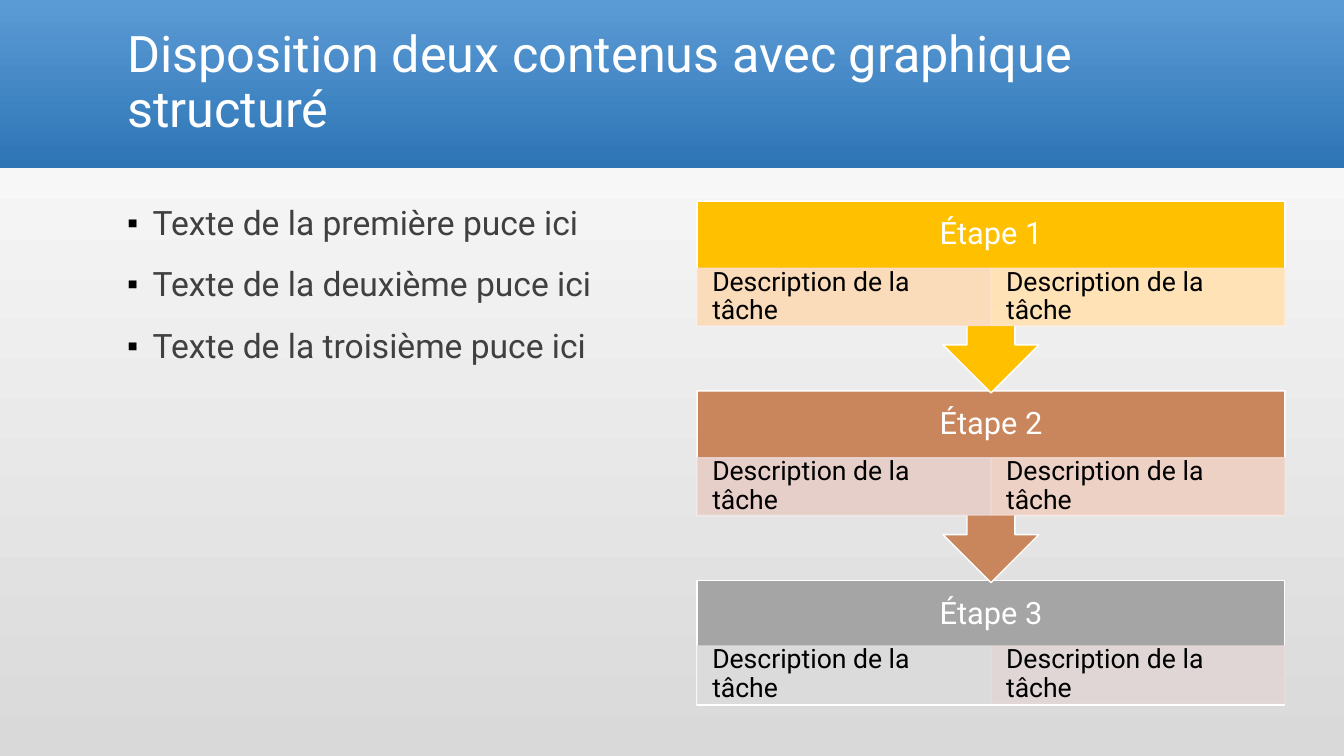
from lxml.etree import SubElement
from pptx import Presentation
from pptx.dml.color import RGBColor
from pptx.enum.shapes import MSO_SHAPE as Preset
from pptx.enum.text import MSO_ANCHOR as Anchor, PP_ALIGN as Align
from pptx.oxml.ns import qn
from pptx.util import Cm, Pt

TITLE = "Disposition deux contenus avec graphique structuré"
BULLETS = [
    "Texte de la première puce ici",
    "Texte de la deuxième puce ici",
    "Texte de la troisième puce ici",
]
TASKS = ["Description de la tâche", "Description de la tâche"]
# Title, main colour, colour of each task
STEPS = [
    ("Étape 1", "FFC000", ["FADFCF", "FFE7CB"]),
    ("Étape 2", "C9855C", ["EBD8D5", "F3DAD1"]),
    ("Étape 3", "A5A5A5", ["E1E1E1", "E7DCDC"]),
]
COLORS = {
    "white": "FFFFFF",
    "black": "000000",
    "body": "404040",
    "backdrop": "D9D9D9",
    "header_top": "5B9BD5",
    "header_bottom": "2E75B6",
}
FONT = "Roboto"

SLIDE_WIDTH, SLIDE_HEIGHT = 33.87, 19.05
HEADER_HEIGHT = 4.23
STEP_LEFT, STEP_TOP, STEP_WIDTH = 17.57, 5.07, 14.81
STEP_PITCH, BOX_HEIGHT, CALLOUT_HEIGHT = 4.78, 3.14, 4.83
STEP_TITLE_HEIGHT, TASK_HEIGHT = 1.69, 1.44
TASK_OPACITY = 90


def rgb(color):
    return RGBColor.from_string(color)


def set_gradient(fill, colors, angle):
    """Blend two colours; the angle runs counter-clockwise."""
    fill.gradient()
    fill.gradient_angle = angle
    for stop, color, position in zip(fill.gradient_stops, colors, (0, 1)):
        stop.color.rgb = rgb(color)
        stop.position = position


def set_text(shape, lines, size, color, insets, align=Align.LEFT, anchor=Anchor.MIDDLE):
    """Write one paragraph per line; insets are left, top, right, bottom in cm."""
    frame = shape.text_frame
    frame.text = "\n".join(lines)
    frame.word_wrap = True
    frame.vertical_anchor = anchor
    frame.margin_left, frame.margin_top, frame.margin_right, frame.margin_bottom = map(Cm, insets)
    for paragraph in frame.paragraphs:
        paragraph.alignment = align
        paragraph.line_spacing = 0.9
        for run in paragraph.runs:
            run.font.name = FONT
            run.font.size = Pt(size)
            run.font.color.rgb = rgb(color)


def add_bullet(paragraph):
    properties = paragraph._p.get_or_add_pPr()
    properties.set("marL", str(Cm(0.64)))
    properties.set("indent", str(-Cm(0.64)))
    bullet_color = SubElement(properties, qn("a:buClr"))
    SubElement(bullet_color, qn("a:srgbClr"), val=COLORS["black"])
    SubElement(properties, qn("a:buSzPct"), val="80000")
    SubElement(properties, qn("a:buFont"), typeface=FONT)
    SubElement(properties, qn("a:buChar"), char="▪")


def add_block(slide, preset, left, top, width, height, fill, line):
    shape = slide.shapes.add_shape(preset, Cm(left), Cm(top), Cm(width), Cm(height))
    shape.shadow.inherit = False
    shape.fill.solid()
    shape.fill.fore_color.rgb = rgb(fill)
    shape.line.color.rgb = rgb(line)
    shape.line.width = Pt(1)
    return shape


def make_translucent(shape):
    for color in shape._element.spPr.iter(qn("a:srgbClr")):
        SubElement(color, qn("a:alpha"), val=str(TASK_OPACITY * 1000))


def add_header(slide):
    header = slide.shapes.add_shape(Preset.RECTANGLE, 0, 0, Cm(SLIDE_WIDTH), Cm(HEADER_HEIGHT))
    header.shadow.inherit = False
    header.line.fill.background()
    set_gradient(header.fill, (COLORS["header_top"], COLORS["header_bottom"]), 270)
    set_text(header, [TITLE], 36, COLORS["white"], (3.21, 0.13, 2.14, 0.13))


def add_bullets(slide):
    body = slide.shapes.add_textbox(Cm(2.96), Cm(5.07), Cm(13.34), Cm(12.7))
    set_text(body, BULLETS, 24, COLORS["body"], (0.25, 0.13, 0.25, 0.13), anchor=Anchor.TOP)
    for paragraph in body.text_frame.paragraphs:
        paragraph.space_before = Pt(18)
        add_bullet(paragraph)


def add_step(slide, index):
    title, color, task_colors = STEPS[index]
    top = STEP_TOP + index * STEP_PITCH
    is_last = index == len(STEPS) - 1
    preset = Preset.RECTANGLE if is_last else Preset.DOWN_ARROW_CALLOUT
    height = BOX_HEIGHT if is_last else CALLOUT_HEIGHT
    box = add_block(slide, preset, STEP_LEFT, top, STEP_WIDTH, height, color, COLORS["white"])
    bottom_inset = BOX_HEIGHT - STEP_TITLE_HEIGHT + 0.43
    set_text(box, [title], 22, COLORS["white"], (0.43, 0.43, 0.43, bottom_inset), Align.CENTER)

    task_width = STEP_WIDTH / len(TASKS)
    task_top = top + STEP_TITLE_HEIGHT - (0.04 if is_last else 0)
    for column, (text, task_color) in enumerate(zip(TASKS, task_colors)):
        left = STEP_LEFT + column * task_width
        task = add_block(slide, Preset.RECTANGLE, left, task_top, task_width, TASK_HEIGHT,
                         task_color, task_color)
        make_translucent(task)
        set_text(task, [text], 19, COLORS["black"], (0.38, 0.08, 0.38, 0.08))


def main():
    presentation = Presentation()
    presentation.slide_width = Cm(SLIDE_WIDTH)
    presentation.slide_height = Cm(SLIDE_HEIGHT)
    slide = presentation.slides.add_slide(presentation.slide_layouts[6])
    set_gradient(slide.background.fill, (COLORS["backdrop"], COLORS["white"]), 90)
    add_header(slide)
    add_bullets(slide)
    # The last step lies at the back, so each arrow tip covers the box below it
    for index in reversed(range(len(STEPS))):
        add_step(slide, index)
    presentation.save("out.pptx")


if __name__ == "__main__":
    main()
